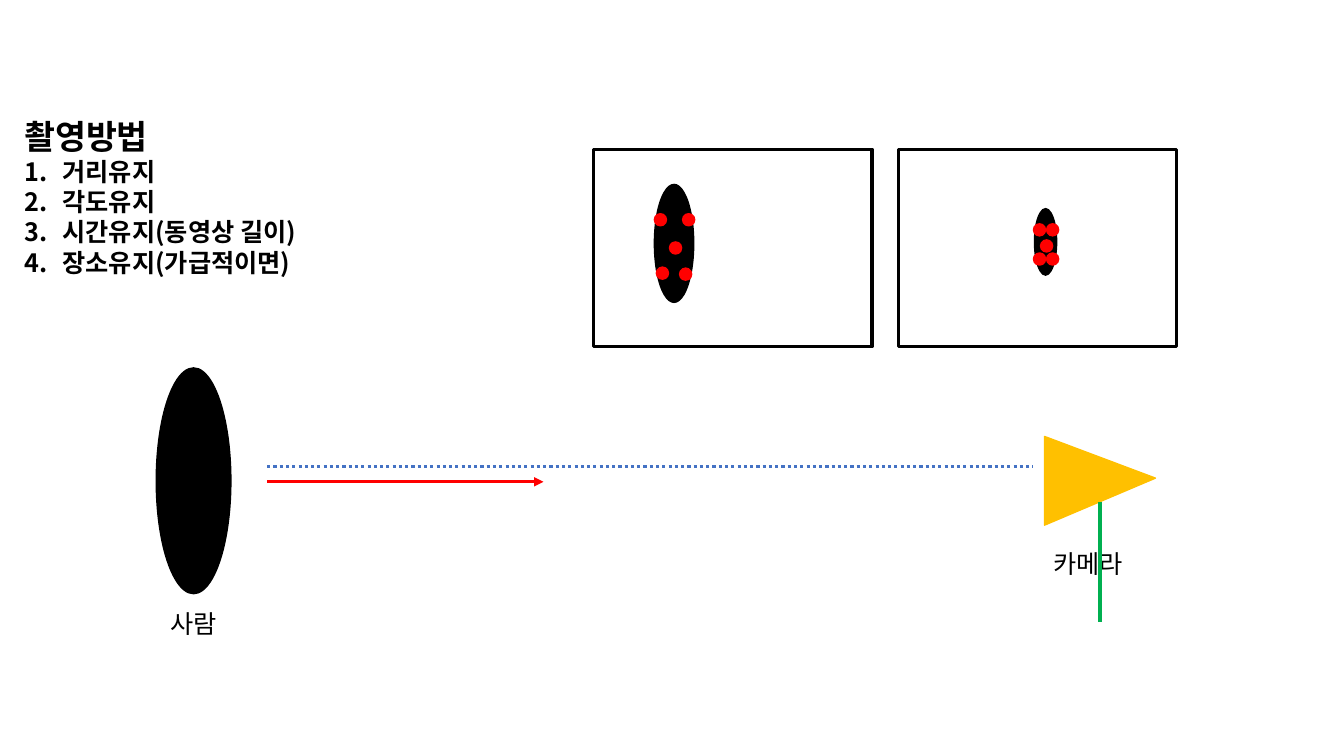
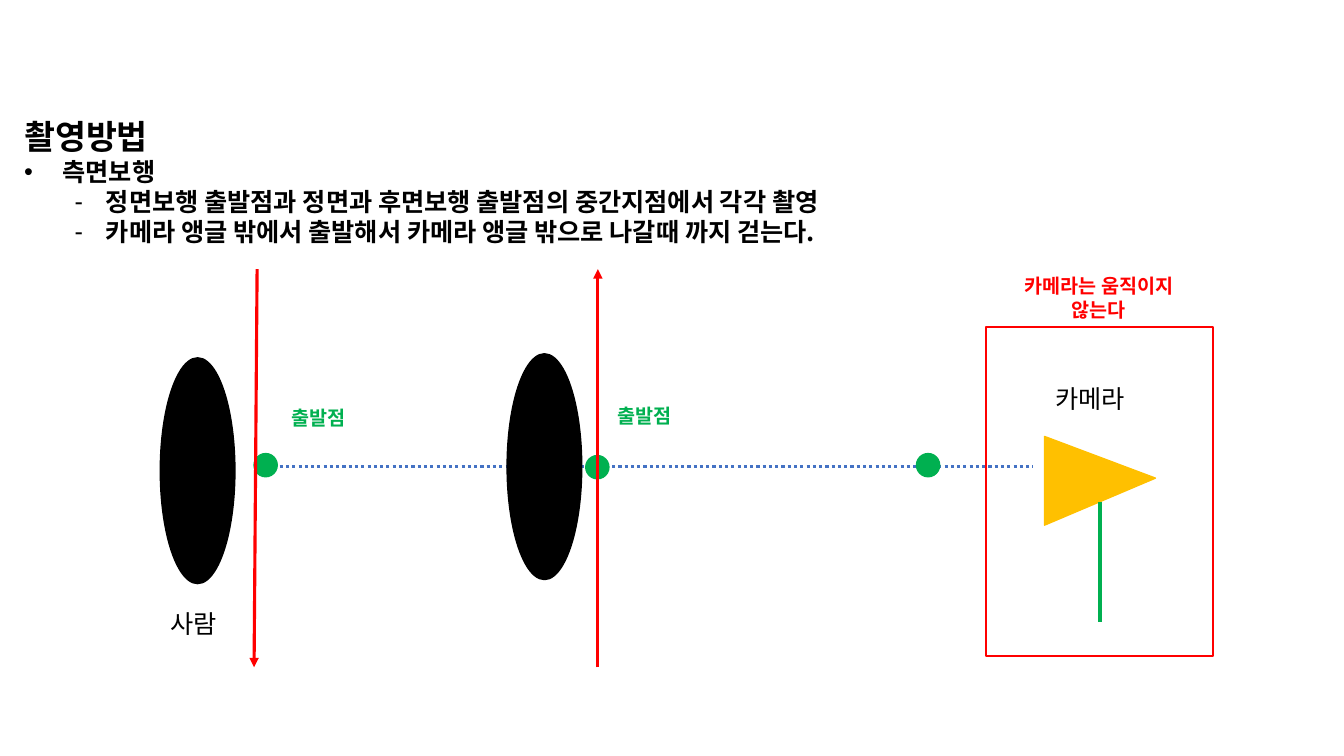
import lxml.etree
import pptx
import pptx.dml.color
import pptx.enum.dml
import pptx.enum.shapes
import pptx.enum.text
import pptx.oxml.ns
import pptx.util

Inches = pptx.util.Inches
Pt = pptx.util.Pt
RGBColor = pptx.dml.color.RGBColor
Shape = pptx.enum.shapes.MSO_SHAPE
Align = pptx.enum.text.PP_ALIGN
qn = pptx.oxml.ns.qn

BLACK = RGBColor(0x00, 0x00, 0x00)
RED = RGBColor(0xFF, 0x00, 0x00)
GREEN = RGBColor(0x00, 0xB0, 0x50)
AMBER = RGBColor(0xFF, 0xC0, 0x00)
BLUE = RGBColor(0x44, 0x72, 0xC4)
FONT = "Noto Sans CJK KR"
LINE_HEIGHT = 1.2

NUMBER, DOT, DASH = "number", "•", "-"
# Text margin and hanging indent of each kind of list item
INDENTS = {NUMBER: (0.38, -0.38), DOT: (0.38, -0.38), DASH: (0.81, -0.31)}


class Deck:
    """Holds the shared style and the slide being drawn."""

    def __init__(self):
        self.presentation = pptx.Presentation()
        self.presentation.slide_width = Inches(13.33)
        self.presentation.slide_height = Inches(7.5)
        self.slide = None

    def new_slide(self, title, items):
        """Start a slide; items are (bullet kind, text) pairs."""
        layout = self.presentation.slide_layouts[1]
        self.slide = self.presentation.slides.add_slide(layout)
        heading = self.slide.shapes.title
        self.place(heading, 0.14, 1.1, 9.93, 0.5)
        self.set_text(heading.text_frame, [title], 24, BLACK, True, Align.LEFT)

        body = self.slide.placeholders[1]
        self.place(body, 0.14, 1.5, 9.93, 0.1 + 0.3 * len(items))
        texts = [text for _, text in items]
        self.set_text(body.text_frame, texts, 18, BLACK, True, Align.LEFT)
        for paragraph, (kind, _) in zip(body.text_frame.paragraphs, items):
            self.add_bullet(paragraph, kind)

    def place(self, holder, left, top, width, height):
        holder.left, holder.top = Inches(left), Inches(top)
        holder.width, holder.height = Inches(width), Inches(height)

    def set_text(self, frame, texts, size, color, bold, align):
        frame.text = "\n".join(texts)
        frame.word_wrap = True
        frame.auto_size = pptx.enum.text.MSO_AUTO_SIZE.NONE
        frame.vertical_anchor = pptx.enum.text.MSO_ANCHOR.TOP
        for paragraph in frame.paragraphs:
            paragraph.alignment = align
            paragraph.space_before = Pt(0)
            paragraph.line_spacing = Pt(size * LINE_HEIGHT)
            font = paragraph.font
            font.size, font.bold, font.name = Pt(size), bold, FONT
            font.color.rgb = color
            defaults = paragraph._p.pPr.find(qn("a:defRPr"))
            lxml.etree.SubElement(defaults, qn("a:ea"), typeface=FONT)

    def add_bullet(self, paragraph, kind):
        properties = paragraph._p.pPr
        margin, indent = INDENTS[kind]
        paragraph.level = 1 if kind == DASH else 0
        properties.set("marL", str(Inches(margin)))
        properties.set("indent", str(Inches(indent)))
        if kind == NUMBER:
            marks = [("a:buFontTx", {}), ("a:buAutoNum", {"type": "arabicPeriod"})]
        else:
            marks = [("a:buChar", {"char": kind})]
        defaults = properties.find(qn("a:defRPr"))
        for tag, attributes in marks:
            mark = lxml.etree.SubElement(properties, qn(tag), attributes)
            defaults.addprevious(mark)

    def add_label(self, text, left, top, width, height, size=18, color=BLACK, bold=False):
        label = self.slide.shapes.add_textbox(
            Inches(left), Inches(top), Inches(width), Inches(height))
        self.set_text(label.text_frame, [text], size, color, bold, Align.CENTER)

    def add_figure(self, preset, left, top, width, height, color, outline=None):
        """Add a filled shape, or an empty frame if an outline width is given."""
        figure = self.slide.shapes.add_shape(
            preset, Inches(left), Inches(top), Inches(width), Inches(height))
        figure.shadow.inherit = False
        if outline:
            figure.fill.background()
        else:
            figure.fill.solid()
            figure.fill.fore_color.rgb = color
        figure.line.color.rgb = color
        figure.line.width = Pt(outline or 1)
        return figure

    def add_person(self, left, top, width=0.74, height=2.24):
        self.add_figure(Shape.OVAL, left, top, width, height, BLACK)

    def add_dots(self, positions, size, color):
        for left, top in positions:
            self.add_figure(Shape.OVAL, left, top, size, size, color)

    def add_line(self, start, end, color, width=2.25, dotted=False, arrow=False):
        ends = [Inches(value) for value in (*start, *end)]
        line = self.slide.shapes.add_connector(
            pptx.enum.shapes.MSO_CONNECTOR.STRAIGHT, *ends)
        line.line.color.rgb = color
        line.line.width = Pt(width)
        if dotted:
            line.line.dash_style = pptx.enum.dml.MSO_LINE.ROUND_DOT
        properties = line._element.spPr
        if arrow:
            outline = properties.find(qn("a:ln"))
            lxml.etree.SubElement(outline, qn("a:tailEnd"), type="triangle")
        lxml.etree.SubElement(properties, qn("a:effectLst"))

    def add_camera_scene(self, label_left, label_top):
        """Add the person's label, the camera on its stand and the line of sight."""
        self.add_label("사람", 1.55, 5.99, 0.74, 0.4)
        camera = self.add_figure(Shape.ISOSCELES_TRIANGLE, 10.47, 4.22, 0.88, 1.1, AMBER)
        camera.adjustments[0] = 0.47
        camera.rotation = 90
        self.add_label("카메라", label_left, label_top, 1.02, 0.4)
        self.add_line((2.65, 4.63), (10.25, 4.63), BLUE, dotted=True)
        self.add_line((10.91, 4.98), (10.91, 6.17), GREEN, 3)

    def add_view(self, left, person, joints):
        """Add a camera view: a frame with a person and the joints on it."""
        self.add_figure(Shape.RECTANGLE, left, 1.48, 2.76, 1.96, BLACK, 2.25)
        self.add_person(*person)
        self.add_dots(joints, 0.12, RED)


def build_conditions(deck):
    deck.new_slide("촬영방법", [
        (NUMBER, "거리유지"),
        (NUMBER, "각도유지"),
        (NUMBER, "시간유지(동영상 길이)"),
        (NUMBER, "장소유지(가급적이면)"),
    ])
    deck.add_person(1.55, 3.65)
    deck.add_line((2.65, 4.78), (5.39, 4.78), RED, arrow=True)
    deck.add_camera_scene(10.28, 5.39)
    deck.add_view(5.89, (6.49, 1.83, 0.39, 1.17),
                  [(6.49, 2.12), (6.77, 2.12), (6.64, 2.4), (6.51, 2.65), (6.74, 2.66)])
    deck.add_view(8.91, (10.26, 2.07, 0.22, 0.66),
                  [(10.25, 2.22), (10.38, 2.22), (10.32, 2.38), (10.25, 2.51), (10.38, 2.51)])


def build_side_walk(deck):
    deck.new_slide("촬영방법", [
        (DOT, "측면보행"),
        (DASH, "정면보행 출발점과 정면과 후면보행 출발점의 중간지점에서 각각 촬영"),
        (DASH, "카메라 앵글 밖에서 출발해서 카메라 앵글 밖으로 나갈때 까지 걷는다."),
    ])
    deck.add_person(1.59, 3.55)
    deck.add_camera_scene(10.3, 3.75)
    deck.add_figure(Shape.RECTANGLE, 9.78, 3.24, 2.25, 3.27, RED, 1.5)
    deck.add_label("카메라는 움직이지 않는다", 9.97, 2.67, 1.86, 0.57, 14, RED, True)
    deck.add_person(5.03, 3.51)
    deck.add_dots([(2.52, 4.5), (5.81, 4.52), (9.09, 4.5)], 0.23, GREEN)
    for left, top in [(2.74, 3.98), (5.97, 3.96)]:
        deck.add_label("출발점", left, top, 0.84, 0.34, 14, GREEN, True)
    deck.add_line((2.55, 2.67), (2.52, 6.62), RED, arrow=True)
    deck.add_line((5.93, 6.62), (5.93, 2.67), RED, arrow=True)


def main():
    deck = Deck()
    build_conditions(deck)
    build_side_walk(deck)
    deck.presentation.save("out.pptx")


if __name__ == "__main__":
    main()
